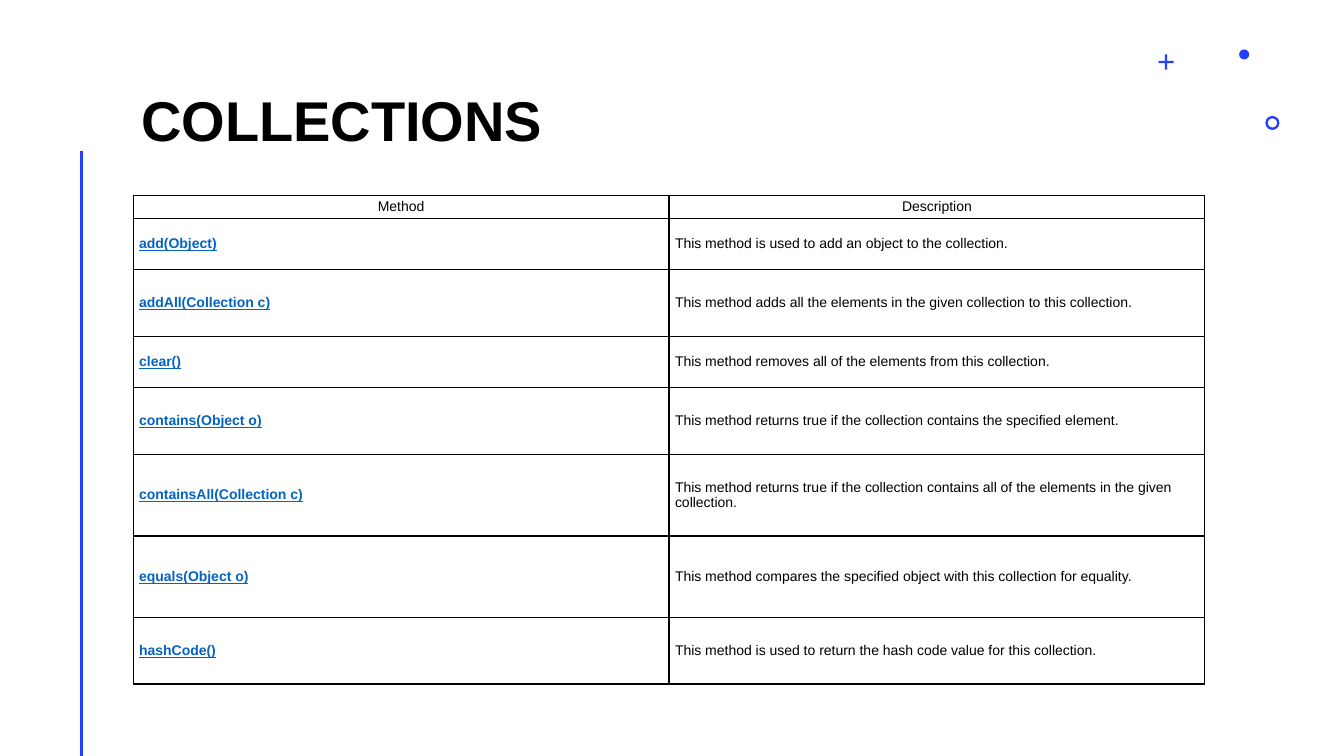
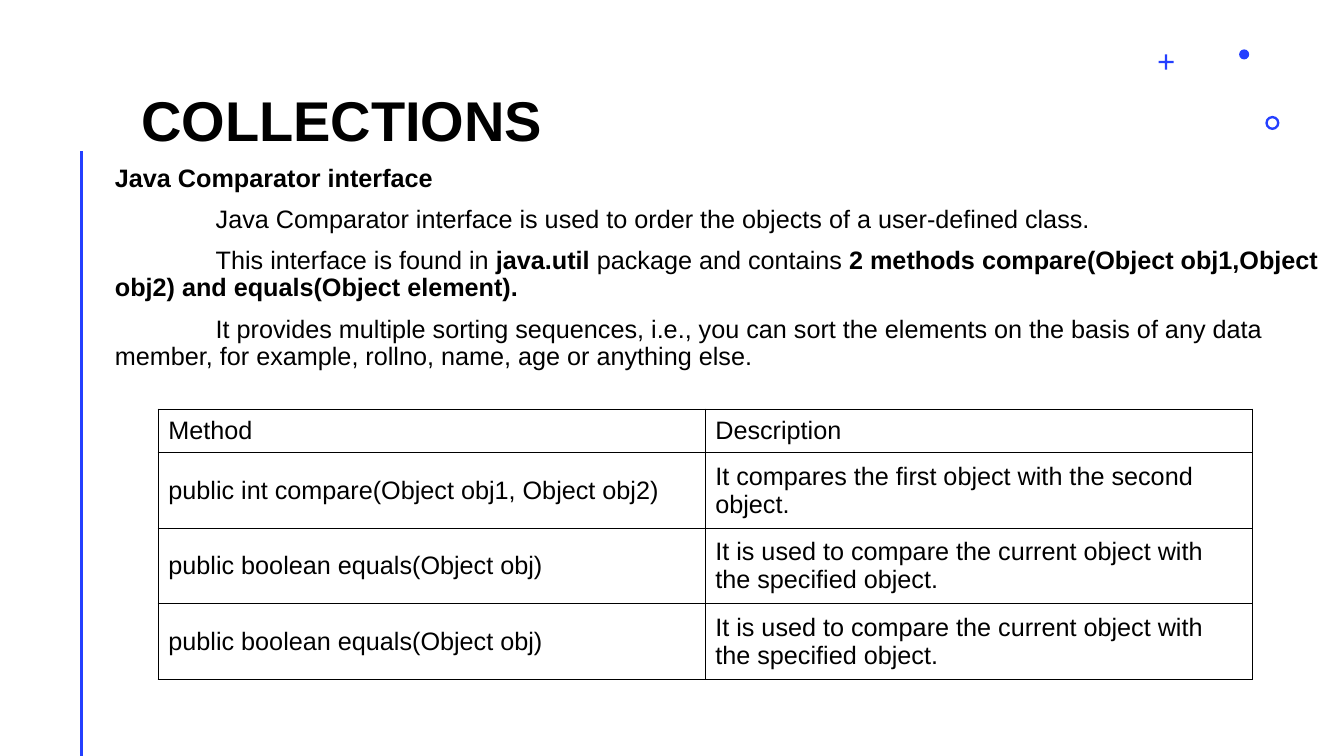
from lxml import etree
from pptx import Presentation
from pptx import util as u
from pptx.dml.color import RGBColor
from pptx.enum import shapes, text
from pptx.oxml import parse_xml
from pptx.oxml.ns import nsdecls, qn

BLACK, BLUE, LINK = "000000", "243FFF", "0563C1"
FONT = "Arial"


def color(hex_string):
    return RGBColor.from_string(hex_string)


class Deck:
    """Holds the presentation, its style and the current slide."""

    def __init__(self):
        self.presentation = Presentation()
        self.presentation.slide_width = u.Inches(13.33)
        self.presentation.slide_height = u.Inches(7.5)
        self.slide = None

    def add_slide(self, title):
        layout = self.presentation.slide_layouts[6]
        self.slide = self.presentation.slides.add_slide(layout)
        self.side_line()
        kinds = shapes.MSO_SHAPE
        self.ornament(kinds.CROSS, 11.49, 0.54, 0.15, 0.43)
        self.ornament(kinds.DONUT, 12.55, 1.15, 0.14, 0.17)
        self.ornament(kinds.OVAL, 12.29, 0.49, 0.1)
        frame = self.text_box(1.4, 0.75, 9.99, 0.77)
        frame.vertical_anchor = text.MSO_ANCHOR.BOTTOM
        paragraph = frame.paragraphs[0]
        paragraph.text = title
        paragraph.line_spacing = u.Pt(40)
        self.style(paragraph.font, 40, bold=True)

    def style(self, font, size, bold=False, hex_string=BLACK, underline=False):
        font.name, font.size = FONT, u.Pt(size)
        font.bold, font.underline = bold, underline
        font.color.rgb = color(hex_string)

    def side_line(self):
        x = u.Inches(0.81)
        line = self.slide.shapes.add_connector(
            shapes.MSO_CONNECTOR.STRAIGHT, x, u.Inches(1.5), x, u.Inches(7.5))
        line.line.color.rgb = color(BLUE)
        line.line.width = u.Pt(2)
        etree.SubElement(line._element.spPr, qn("a:effectLst"))

    def ornament(self, kind, left, top, size, thickness=None):
        shape = self.slide.shapes.add_shape(
            kind, u.Inches(left), u.Inches(top), u.Inches(size), u.Inches(size))
        shape.shadow.inherit = False
        shape.fill.solid()
        shape.fill.fore_color.rgb = color(BLUE)
        shape.line.fill.background()
        if thickness is not None:
            shape.adjustments[0] = thickness

    def text_box(self, left, top, width, height):
        box = self.slide.shapes.add_textbox(*map(u.Inches, (left, top, width, height)))
        frame = box.text_frame
        frame.word_wrap = True
        frame.margin_left = frame.margin_right = 0
        frame.margin_top = frame.margin_bottom = 0
        return frame

    def body(self, heading, paragraphs):
        """A bold heading, then indented paragraphs given as (text, bold) runs."""
        frame = self.text_box(1.14, 1.64, 11.96, 5.32)
        for index, runs in enumerate([[(heading, True)]] + paragraphs):
            paragraph = frame.add_paragraph() if index else frame.paragraphs[0]
            paragraph.line_spacing = 0.9
            paragraph.space_before = u.Pt(10)
            if index:
                paragraph._p.get_or_add_pPr().set("indent", str(u.Inches(1)))
            for words, bold in runs:
                run = paragraph.add_run()
                run.text = words
                self.style(run.font, 18, bold)

    def table(self, left, top, width, heights, rows, size,
              margins=(0.1, 0.05), center_header=False, link_methods=False):
        columns = len(rows[0])
        table = self.slide.shapes.add_table(
            len(rows), columns, u.Inches(left), u.Inches(top),
            u.Inches(width), u.Inches(sum(heights))).table
        table.first_row = table.horz_banding = False
        for column in table.columns:
            column.width = u.Inches(width / columns)
        for i, (height, row) in enumerate(zip(heights, rows)):
            table.rows[i].height = u.Inches(height)
            for j, words in enumerate(row):
                cell = table.cell(i, j)
                self.frame_cell(cell, *margins)
                paragraph = cell.text_frame.paragraphs[0]
                paragraph.text = words
                if center_header and i == 0:
                    paragraph.alignment = text.PP_ALIGN.CENTER
                link = link_methods and i > 0 and j == 0
                self.style(paragraph.font, size, link, LINK if link else BLACK, link)

    def frame_cell(self, cell, side_margin, end_margin):
        cell.vertical_anchor = text.MSO_ANCHOR.MIDDLE
        cell.margin_left = cell.margin_right = u.Inches(side_margin)
        cell.margin_top = cell.margin_bottom = u.Inches(end_margin)
        properties = cell._tc.get_or_add_tcPr()
        for side in "LRTB":
            properties.append(parse_xml(
                f'<a:ln{side} {nsdecls("a")} w="{u.Pt(1)}"><a:solidFill>'
                f'<a:srgbClr val="{BLACK}"/></a:solidFill></a:ln{side}>'))
        cell.fill.background()


COLLECTION_METHODS = [
    ("Method", "Description"),
    ("add(Object)", "This method is used to add an object to the collection."),
    ("addAll(Collection c)",
     "This method adds all the elements in the given collection to this collection."),
    ("clear()", "This method removes all of the elements from this collection."),
    ("contains(Object o)",
     "This method returns true if the collection contains the specified element."),
    ("containsAll(Collection c)",
     "This method returns true if the collection contains all of the elements "
     "in the given collection."),
    ("equals(Object o)",
     "This method compares the specified object with this collection for equality."),
    ("hashCode()",
     "This method is used to return the hash code value for this collection."),
]

EQUALS_ROW = ("public boolean equals(Object obj)",
              "It is used to compare the current object with the specified object.")
COMPARATOR_METHODS = [
    ("Method", "Description"),
    ("public int compare(Object obj1, Object obj2)",
     "It compares the first object with the second object."),
    EQUALS_ROW,
    EQUALS_ROW,
]

COMPARATOR_TEXT = [
    [("Java Comparator interface is used to order the objects of a "
      "user-defined class.", False)],
    [("This interface is found in ", False), ("java.util ", True),
     ("package and contains ", False),
     ("2 methods compare(Object obj1,Object obj2) and equals(Object element).", True)],
    [("It provides multiple sorting sequences, i.e., you can sort the elements on "
      "the basis of any data member, for example, rollno, name, age or anything "
      "else.", False)],
]


def main():
    deck = Deck()
    deck.add_slide("COLLECTIONS")
    deck.table(1.32, 1.94, 10.63, [0.21, 0.51, 0.66, 0.51, 0.66, 0.81, 0.81, 0.66],
               COLLECTION_METHODS, 10, margins=(0.06, 0.03),
               center_header=True, link_methods=True)
    deck.add_slide("COLLECTIONS")
    deck.body("Java Comparator interface", COMPARATOR_TEXT)
    deck.table(1.57, 4.06, 10.85, [0.43] + [0.75] * 3, COMPARATOR_METHODS, 18)
    deck.presentation.save("out.pptx")


if __name__ == "__main__":
    main()
